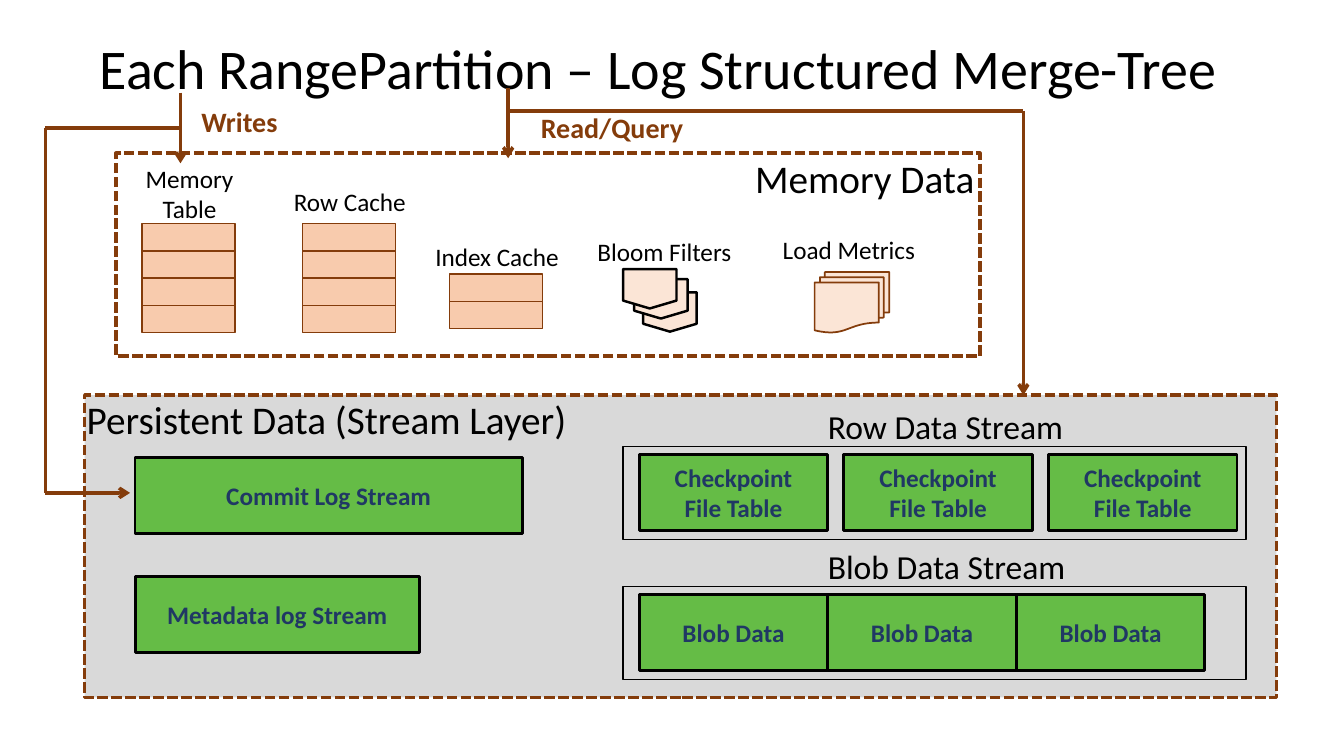
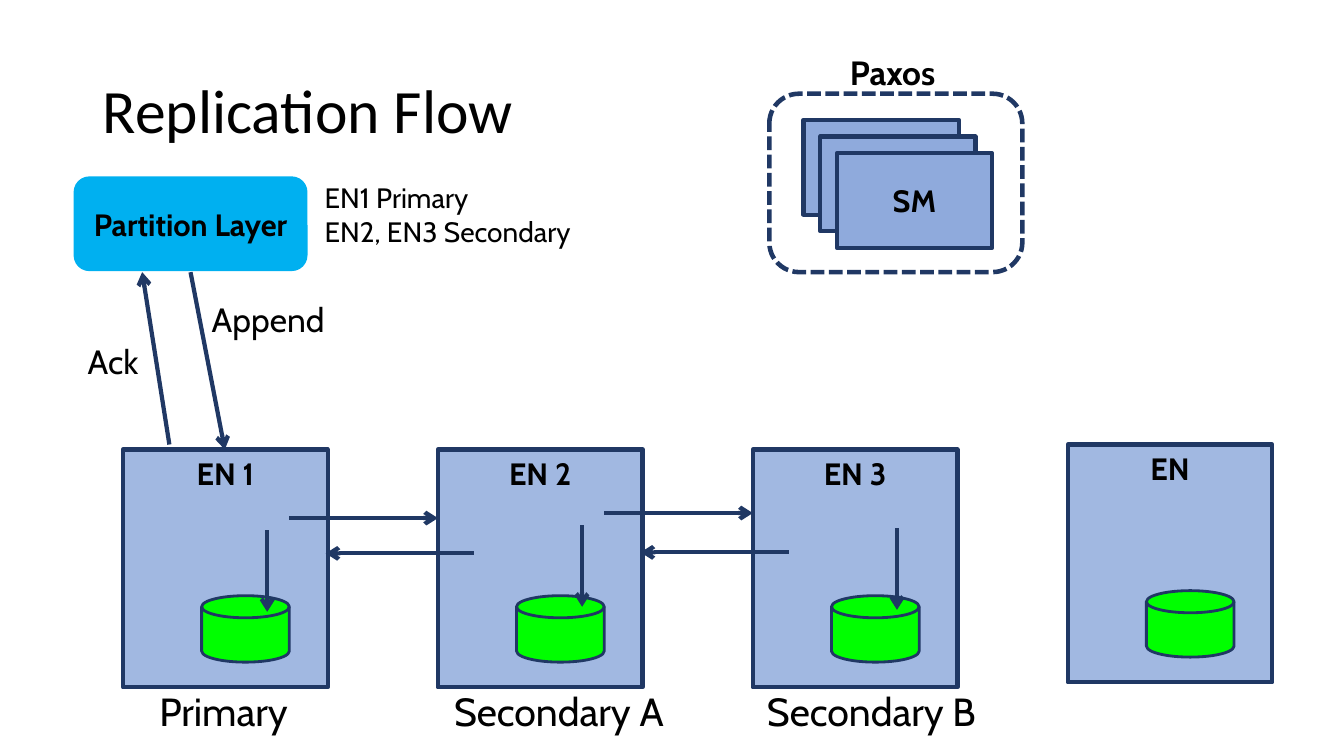
from lxml import etree
from pptx import Presentation
from pptx import util as u
from pptx.dml import color
from pptx.enum import dml, shapes, text
from pptx.oxml import ns

COLORS = {
    "black": "000000",
    "brown": "843C0B",
    "peach": "F8CBAD",
    "cream": "FBE5D6",
    "gray": "D9D9D9",
    "green": "65BC46",
    "navy": "203864",
    "steel": "8FAADC",
    "blue": "4472C4",
    "sky": "00B0F0",
    "lime": "00FF00",
}
CALIBRI = "Calibri"
CABIN = "Cabin"
KIND = shapes.MSO_SHAPE
CENTER = text.PP_ALIGN.CENTER
MIDDLE = text.MSO_ANCHOR.MIDDLE
TOP = text.MSO_ANCHOR.TOP


def rgb(name):
    return color.RGBColor.from_string(COLORS[name])


def inches(box):
    return [u.Inches(length) for length in box]


def write(frame, words, size, font, ink="black", bold=False, align=None, spacing=None):
    frame.text = words
    for paragraph in frame.paragraphs:
        paragraph.font.size = u.Pt(size)
        paragraph.font.name = font
        paragraph.font.bold = bold
        paragraph.font.color.rgb = rgb(ink)
        paragraph.alignment = align
        paragraph.line_spacing = spacing


def add_title(slide, left, top, words, size):
    frame = slide.shapes.add_textbox(*inches((left, top, 11.5, 1.45))).text_frame
    frame.word_wrap = True
    frame.vertical_anchor = MIDDLE
    write(frame, words, size, CALIBRI, spacing=0.9)


def add_label(slide, box, words, size, font, ink="black", bold=False, align=None):
    frame = slide.shapes.add_textbox(*inches(box)).text_frame
    frame.margin_left = frame.margin_right = frame.margin_top = frame.margin_bottom = 0
    frame.word_wrap = align is not None
    frame.auto_size = text.MSO_AUTO_SIZE.SHAPE_TO_FIT_TEXT
    write(frame, words, size, font, ink, bold, align)


def add_box(slide, box, fill=None, line=None, width=1, kind=KIND.RECTANGLE, dashed=False):
    shape = slide.shapes.add_shape(kind, *inches(box))
    shape.shadow.inherit = False
    if fill:
        shape.fill.solid()
        shape.fill.fore_color.rgb = rgb(fill)
    else:
        shape.fill.background()
    if line:
        shape.line.color.rgb = rgb(line)
        shape.line.width = u.Pt(width)
    else:
        shape.line.fill.background()
    if dashed:
        shape.line.dash_style = dml.MSO_LINE.SQUARE_DOT
    return shape


def add_block(slide, box, words, fill, line, width, size, font, ink,
              kind=KIND.RECTANGLE, anchor=MIDDLE):
    shape = add_box(slide, box, fill, line, width, kind)
    shape.text_frame.vertical_anchor = anchor
    write(shape.text_frame, words, size, font, ink, True, CENTER)
    return shape


def add_line(slide, start, end, ink, width, arrow=True):
    connector = slide.shapes.add_connector(
        shapes.MSO_CONNECTOR.STRAIGHT, *inches(start + end))
    connector.line.color.rgb = rgb(ink)
    connector.line.width = u.Pt(width)
    properties = connector.element.spPr
    if arrow:
        outline = properties.find(ns.qn("a:ln"))
        etree.SubElement(outline, ns.qn("a:tailEnd"), type="arrow")
    etree.SubElement(properties, ns.qn("a:effectLst"))


def add_path(slide, points):
    last = len(points) - 2
    for index, (start, end) in enumerate(zip(points, points[1:])):
        add_line(slide, start, end, "brown", 2.5, index == last)


def add_data_block(slide, box, words):
    add_block(slide, box, words, "green", "black", 2, 18, CALIBRI, "navy")


def add_stream(slide, left, top, heading, words, pitch):
    add_box(slide, (left, top, 6.18, 0.92), line="black")
    for index in range(3):
        add_data_block(slide, (left + 0.16 + index * pitch, top + 0.08, 1.87, 0.75), words)
    add_label(slide, (left + 2.03, top - 0.4, 2.38, 0.4), heading, 24, CALIBRI)


def add_persistent_data(slide, left, top):
    add_box(slide, (left, top, 11.82, 3), "gray", "brown", 2.5, dashed=True)
    add_stream(slide, left + 5.34, top + 0.51, "Row Data Stream", "Checkpoint\nFile Table", 2.03)
    add_stream(slide, left + 5.34, top + 1.9, "Blob Data Stream", "Blob Data", 1.87)
    add_data_block(slide, (left + 0.5, top + 0.62, 3.84, 0.75), "Commit Log Stream")
    add_data_block(slide, (left + 0.5, top + 1.8, 2.82, 0.75), "Metadata log Stream")
    add_label(slide, (left + 0.02, top, 4.81, 0.47), "Persistent Data (Stream Layer)", 28, CALIBRI)


def add_caption(slide, center, top, words):
    add_label(slide, (center - 0.72, top, 1.44, 0.3), words, 18, CALIBRI, align=CENTER)


def add_stack(slide, left, top, rows, words, rise):
    for row in range(rows):
        add_box(slide, (left, top + row * 0.27, 0.92, 0.27), "peach", "brown")
    add_caption(slide, left + 0.47, top - rise, words)


def add_bloom_filters(slide, left, top):
    for right, down in ((0.2, 0.23), (0.11, 0.1), (0, 0)):
        add_box(slide, (left + right, top + down, 0.53, 0.39), "cream", "black", 1.75,
                KIND.FLOWCHART_OFFPAGE_CONNECTOR)
    add_caption(slide, left + 0.41, top - 0.33, "Bloom Filters")


def add_load_metrics(slide, left, top):
    add_box(slide, (left, top, 0.74, 0.6), "cream", "brown", 1.25, KIND.FLOWCHART_MULTIDOCUMENT)
    add_caption(slide, left + 0.34, top - 0.38, "Load Metrics")


def add_memory_data(slide, left, top):
    add_box(slide, (left, top, 8.57, 2.01), line="brown", width=2.5, dashed=True)
    add_stack(slide, left + 0.26, top + 0.7, 4, "Memory\nTable", 0.6)
    add_stack(slide, left + 1.85, top + 0.7, 4, "Row Cache", 0.37)
    add_stack(slide, left + 3.31, top + 1.2, 2, "Index Cache", 0.33)
    add_bloom_filters(slide, left + 5.03, top + 1.15)
    add_load_metrics(slide, left + 6.93, top + 1.18)
    add_label(slide, (left + 6.34, top + 0.01, 2.2, 0.47), "Memory Data", 28, CALIBRI)


def add_access_paths(slide):
    add_path(slide, [(1.79, 0.92), (1.79, 1.62)])
    add_path(slide, [(1.79, 1.27), (0.45, 1.27), (0.45, 4.89), (1.29, 4.89)])
    add_path(slide, [(5.04, 0.87), (5.04, 1.57)])
    add_path(slide, [(5.04, 1.1), (10.15, 1.1), (10.15, 3.92)])
    for box, words in (((1.79, 1.04, 1.17, 0.34), "Writes"),
                       ((5.17, 1.1, 1.8, 0.34), "Read/Query")):
        add_label(slide, box, words, 20, CALIBRI, "brown", True, CENTER)


def build_merge_tree(slide):
    add_title(slide, 0.89, -0.02, "Each RangePartition – Log Structured Merge-Tree", 40)
    add_persistent_data(slide, 0.84, 3.92)
    add_memory_data(slide, 1.15, 1.52)
    add_access_paths(slide)


def add_paxos_group(slide, left, top):
    for index in range(3):
        shift = index * 0.165
        add_block(slide, (left + 0.34 + shift, top + 0.26 + shift, 1.54, 0.94), "SM",
                  "steel", "navy", 3, 22, CABIN, "black")
    add_box(slide, (left, top, 2.51, 1.77), None, "navy", 3.25, KIND.ROUNDED_RECTANGLE, True)
    add_label(slide, (left + 0.8, top - 0.41, 0.91, 0.4), "Paxos", 24, CABIN, bold=True)


def add_partition_layer(slide, left, top):
    add_block(slide, (left, top, 2.32, 0.94), "Partition Layer", "sky", None, 0,
              22, CABIN, "black", KIND.ROUNDED_RECTANGLE)
    add_label(slide, (left + 2.49, top + 0.04, 2.52, 0.67),
              "EN1 Primary\nEN2, EN3 Secondary", 20, CABIN)


def add_node(slide, left, top, words):
    node = add_block(slide, (left, top, 2.03, 2.36), words, "blue", "navy", 3,
                     22, CABIN, "black", anchor=TOP)
    tint = node.element.spPr.find(ns.qn("a:solidFill")).find(ns.qn("a:srgbClr"))
    etree.SubElement(tint, ns.qn("a:alpha"), val="50000")
    add_box(slide, (left + 0.78, top + 1.45, 0.87, 0.66), "lime", "navy", 2,
            KIND.FLOWCHART_MAGNETIC_DISK)


def add_flow(slide, start, end):
    add_line(slide, start, end, "navy", 3)


def add_nodes(slide, left, top):
    pitch = 9.37 / 3
    lefts = [left + index * pitch for index in range(4)]
    for x, words, rise in zip(lefts, ("EN 1", "EN 2", "EN 3", "EN"), (0, 0, 0, 0.05)):
        add_node(slide, x, top - rise, words)
    for x, down in zip(lefts, (0.8, 0.75, 0.78)):
        add_flow(slide, (x + 1.43, top + down), (x + 1.43, top + down + 0.81))
    for x, down, back in zip(lefts, (0.68, 0.63), (1.03, 1.02)):
        add_flow(slide, (x + 1.65, top + down), (x + pitch, top + down))
        add_flow(slide, (x + 3.48, top + back), (x + 2.01, top + back))
    for x, words, indent in zip(lefts, ("Primary", "Secondary A", "Secondary B"),
                                (0.36, 0.16, 0.14)):
        add_label(slide, (x + indent, top + 2.36, 2.18, 0.47), words, 28, CABIN)


def build_replication(slide):
    add_title(slide, 0.92, 0.4, "Replication Flow", 44)
    add_paxos_group(slide, 7.63, 0.93)
    add_partition_layer(slide, 0.73, 1.75)
    add_nodes(slide, 1.22, 4.46)
    add_flow(slide, (1.89, 2.7), (2.23, 4.46))
    add_flow(slide, (1.68, 4.41), (1.41, 2.7))
    add_label(slide, (2.1, 2.97, 1.18, 0.4), "Append", 24, CABIN)
    add_label(slide, (0.87, 3.38, 1.05, 0.4), "Ack", 24, CABIN, align=text.PP_ALIGN.LEFT)


def main():
    presentation = Presentation()
    presentation.slide_width = u.Inches(13.33)
    presentation.slide_height = u.Inches(7.5)
    for build in (build_merge_tree, build_replication):
        build(presentation.slides.add_slide(presentation.slide_layouts[6]))
    presentation.save("out.pptx")


if __name__ == "__main__":
    main()
